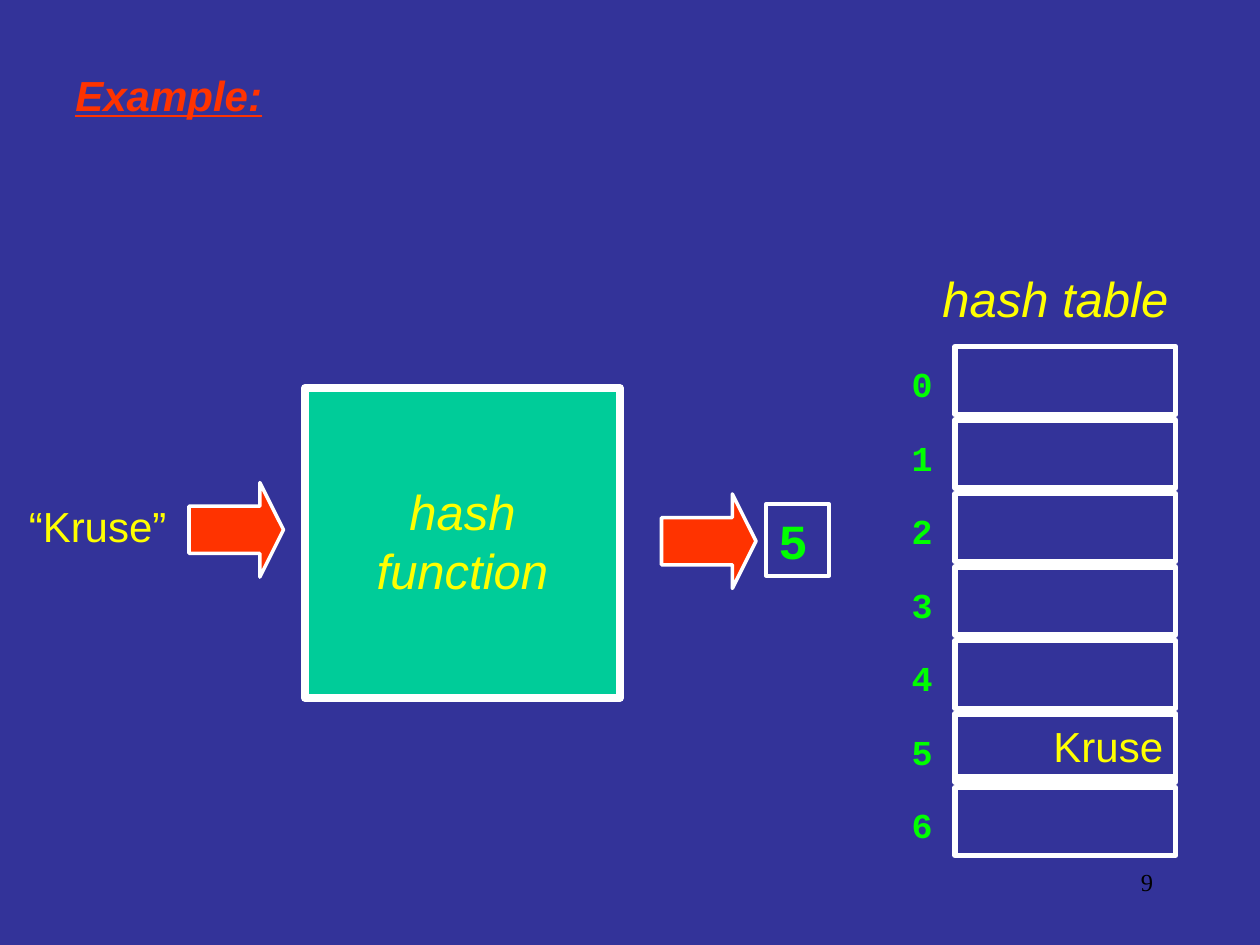
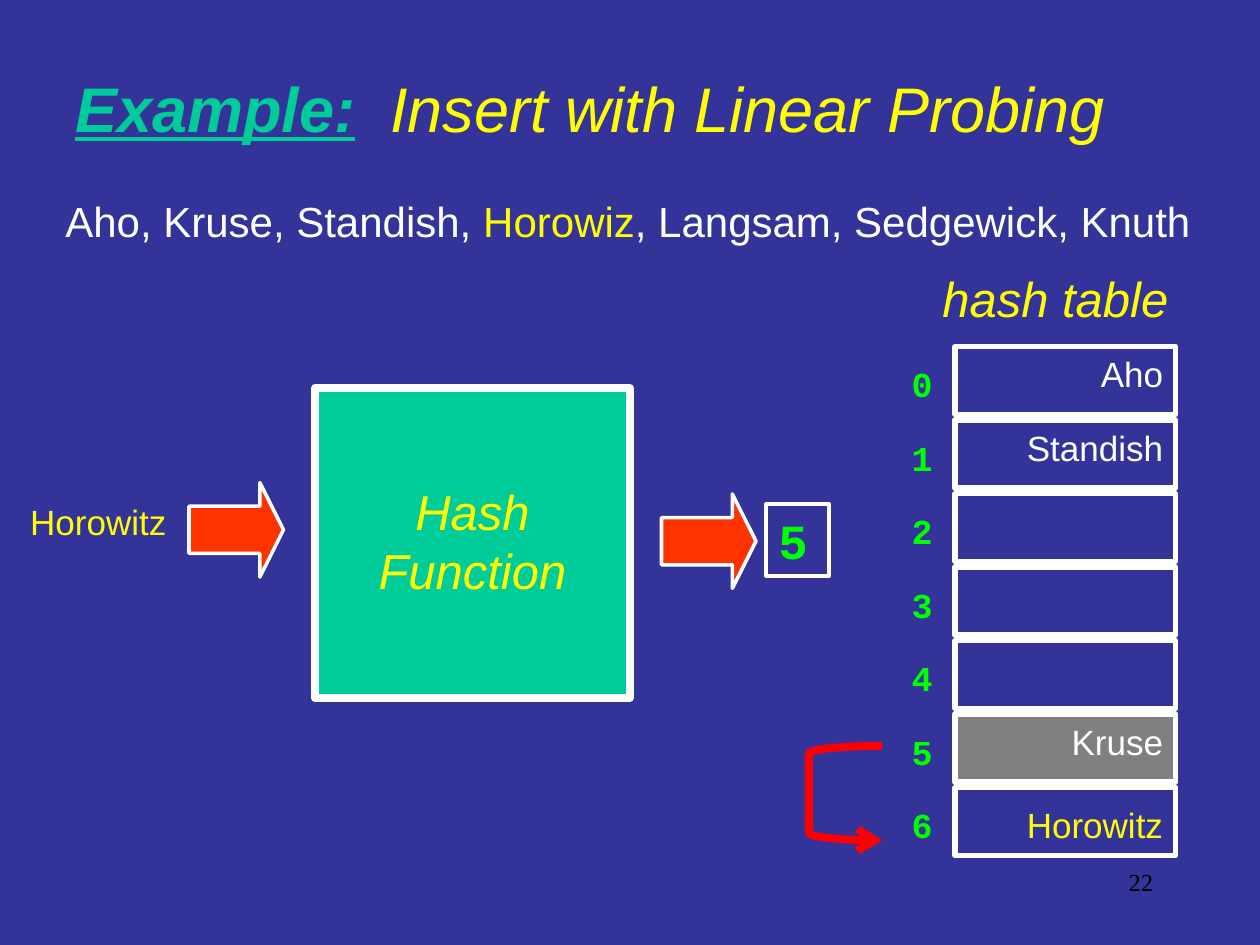
import math

import pptx
import pptx.dml.color
import pptx.enum.shapes
import pptx.enum.text
import pptx.oxml.ns
import pptx.util
from lxml import etree

Inches = pptx.util.Inches
RGBColor = pptx.dml.color.RGBColor
Shape = pptx.enum.shapes.MSO_SHAPE
Align = pptx.enum.text.PP_ALIGN

NAVY = RGBColor(0x33, 0x33, 0x99)
YELLOW = RGBColor(0xFF, 0xFF, 0x00)
WHITE = RGBColor(0xFF, 0xFF, 0xFF)
ORANGE = RGBColor(0xFF, 0x33, 0x00)
TEAL = RGBColor(0x00, 0xCC, 0x99)
GREEN = RGBColor(0x00, 0xFF, 0x00)
GRAY = RGBColor(0x80, 0x80, 0x80)
RED = RGBColor(0xFF, 0x00, 0x00)
BLACK = RGBColor(0x00, 0x00, 0x00)

SANS, MONO, SERIF = "Arial", "Courier New", "Times New Roman"
ROWS, TOP, STEP = 7, 2.75, 3.5 / 6
LEFT, WIDE, HIGH = 7.58, 1.75, 0.54


class Deck:
    """Draws hash table slides in one shared style."""

    def __init__(self):
        self.show = pptx.Presentation()
        self.show.slide_width = Inches(10)
        self.show.slide_height = Inches(7.5)

    def start(self, number):
        self.slide = self.show.slides.add_slide(self.show.slide_layouts[6])
        fill = self.slide.background.fill
        fill.solid()
        fill.fore_color.rgb = NAVY
        self.text(7.17, 6.83, 2.08, 0.5, number, 14, BLACK, SERIF, Align.RIGHT)

    def label(self, shape, text, size, color, face=SANS, align=Align.LEFT,
              bold=False, slant=False):
        frame = shape.text_frame
        frame.word_wrap = True
        frame.vertical_anchor = pptx.enum.text.MSO_ANCHOR.TOP
        para = frame.paragraphs[0]
        para.text = text
        para.alignment = align
        font = para.font
        font.name, font.size = face, pptx.util.Pt(size)
        font.bold, font.italic = bold, slant
        font.color.rgb = color
        return para

    def text(self, x, y, w, h, *words, **style):
        box = self.slide.shapes.add_textbox(
            Inches(x), Inches(y), Inches(w), Inches(h))
        return self.label(box, *words, **style)

    def paint(self, shape, fill, line, width):
        shape.shadow.inherit = False
        if fill is None:
            shape.fill.background()
        else:
            shape.fill.solid()
            shape.fill.fore_color.rgb = fill
        shape.line.color.rgb = line
        shape.line.width = pptx.util.Pt(width)
        return shape

    def shape(self, kind, x, y, w, h, fill=None, width=3):
        shape = self.slide.shapes.add_shape(
            kind, Inches(x), Inches(y), Inches(w), Inches(h))
        return self.paint(shape, fill, WHITE, width)

    def arrow(self, x, y):
        arrow = self.shape(Shape.RIGHT_ARROW, x, y, 0.75, 0.75, ORANGE, 2)
        arrow.adjustments[0], arrow.adjustments[1] = 0.5, 0.25

    def table(self, grays=()):
        self.text(7.25, 2.08, 2.25, 0.57, "hash table", 28, YELLOW,
                  align=Align.CENTER, slant=True)
        for row in range(ROWS):
            y = TOP + row * STEP
            self.shape(Shape.RECTANGLE, LEFT, y, WIDE, HIGH,
                       GRAY if row in grays else None)
            self.text(6.67, y + 0.08, 0.83, 0.44, str(row), 20, GREEN, MONO,
                      Align.RIGHT, bold=True)

    def entry(self, row, name, color, drop=0):
        self.text(LEFT, TOP + row * STEP + drop, WIDE, 0.44, name, 20, color,
                  align=Align.RIGHT)

    def flow(self, key, size, name, x):
        self.text(-0.08, 3.92, 1.5, 0.5, key, size, YELLOW, align=Align.RIGHT)
        self.arrow(1.5, 3.83)
        self.arrow(5.25, 3.92)
        index = self.shape(Shape.RECTANGLE, 6.08, 4, 0.5, 0.57, width=2.25)
        self.label(index, "5", 28, GREEN, MONO, bold=True)
        block = self.shape(Shape.RECTANGLE, x, 3.08, 2.5, 2.46, TEAL, 4.5)
        block.text_frame.margin_top = Inches(0.74)
        self.label(block, name, 28, YELLOW, align=Align.CENTER, slant=True)

    def title(self, text, size, color):
        para = self.text(0.5, 0.5, 8.75, 0.7, text, size, color,
                         bold=True, slant=True)
        para.runs[0].font.underline = True
        return para

    def add(self, para, text, color, bold=None):
        run = para.add_run()
        run.text = text
        run.font.color.rgb = color
        run.font.bold = bold

    def probe(self, right, top, w, h, bend):
        turns = [step * math.pi / 16 for step in range(9)]
        upper = [(right - w * math.sin(t), top + bend * (1 - math.cos(t)))
                 for t in turns]
        lower = [(x, 2 * top + h - y) for x, y in reversed(upper)]
        dots = [(Inches(x), Inches(y)) for x, y in upper + lower]
        pen = self.slide.shapes.build_freeform(*dots[0])
        pen.add_line_segments(dots[1:], close=False)
        curve = self.paint(pen.convert_to_shape(), None, RED, 4.5)
        line = curve.element.spPr.find(pptx.oxml.ns.qn("a:ln"))
        etree.SubElement(line, pptx.oxml.ns.qn("a:tailEnd"), type="arrow")


def main():
    deck = Deck()

    deck.start("9")
    deck.title("Example:", 24, ORANGE)
    deck.table()
    deck.flow("“Kruse”", 24, "hash\vfunction", 2.42)
    found = deck.shape(Shape.RECTANGLE, LEFT, TOP + 5 * STEP, WIDE, 0.5)
    deck.label(found, "Kruse", 24, YELLOW, align=Align.RIGHT)

    deck.start("22")
    title = deck.title("Example:", 36, TEAL)
    deck.add(title, "  Insert with Linear Probing", YELLOW, False)
    names = deck.text(0.42, 1.5, 9.25, 0.5, "Aho, Kruse, Standish, ", 24, WHITE)
    deck.add(names, "Horowiz", YELLOW)
    deck.add(names, ", Langsam, Sedgewick, Knuth", WHITE)
    deck.table(grays=[5])
    deck.flow("Horowitz", 20, "Hash\vFunction", 2.5)
    for row, name in (0, "Aho"), (1, "Standish"), (5, "Kruse"):
        deck.entry(row, name, WHITE)
    deck.entry(6, "Horowitz", YELLOW, 0.08)
    deck.probe(7, 5.92, 0.58, 0.75, 0.06)

    deck.show.save("out.pptx")


if __name__ == "__main__":
    main()
